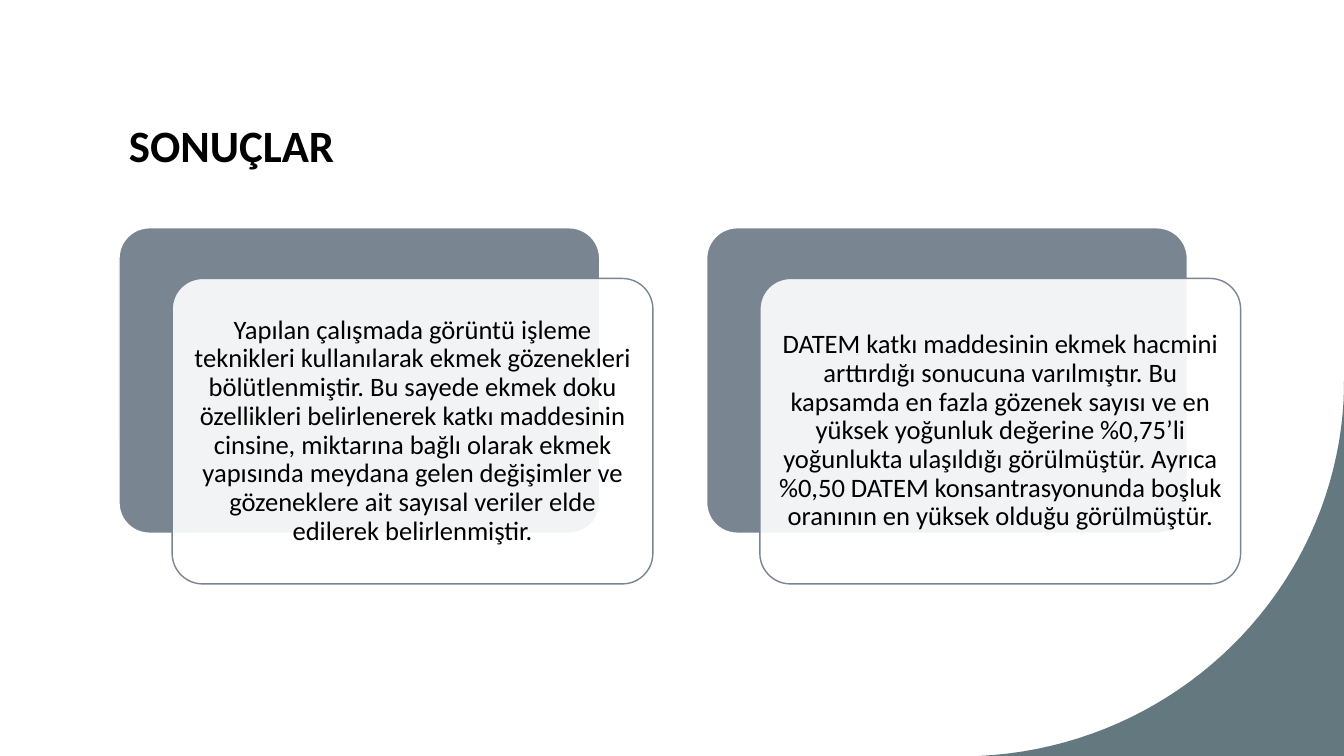
from pptx import Presentation
from pptx.dml.color import RGBColor
from pptx.enum.shapes import MSO_SHAPE
from pptx.enum.text import MSO_ANCHOR, PP_ALIGN
from pptx.oxml.ns import qn
from pptx.util import Pt
from lxml import etree

ROUND = MSO_SHAPE.ROUNDED_RECTANGLE
MIDDLE, BOTTOM = MSO_ANCHOR.MIDDLE, MSO_ANCHOR.BOTTOM
LEFT, CENTER = PP_ALIGN.LEFT, PP_ALIGN.CENTER

# Content
TITLE = "SONUÇLAR"
CARDS = [
    "Yapılan çalışmada görüntü işleme teknikleri kullanılarak ekmek gözenekleri "
    "bölütlenmiştir. Bu sayede ekmek doku özellikleri belirlenerek katkı maddesinin "
    "cinsine, miktarına bağlı olarak ekmek yapısında meydana gelen değişimler ve "
    "gözeneklere ait sayısal veriler elde edilerek belirlenmiştir.",
    "DATEM katkı maddesinin ekmek hacmini arttırdığı sonucuna varılmıştır. Bu "
    "kapsamda en fazla gözenek sayısı ve en yüksek yoğunluk değerine %0,75’li "
    "yoğunlukta ulaşıldığı görülmüştür. Ayrıca %0,50 DATEM konsantrasyonunda boşluk "
    "oranının en yüksek olduğu görülmüştür.",
]
COLORS = {"white": "FFFFFF", "slate": "7A8592", "corner": "63787F", "text": "000000"}

# Layout in points
WIDTH, HEIGHT = 960, 540
CARD_X, CARD_Y, CARD_W, CARD_H = 85, 162.7, 343.4, 218.2
STEP = 419.8
SHIFT_X, SHIFT_Y = 38, 36.2
INSET = 6.4
CURVE = [(699, 540), (840, 533.5), (952.6, 422.6), (959.8, 285)]
PARTS = 40

TITLE_FONT = {"name": "Calibri", "size": Pt(32), "bold": True}
BODY_FONT = {"name": "Calibri", "size": Pt(19), "bold": False}
TITLE_FRAME = {"word_wrap": True, "vertical_anchor": BOTTOM}
BODY_FRAME = {"word_wrap": True, "vertical_anchor": MIDDLE, "margin_left": Pt(6),
              "margin_right": Pt(6), "margin_top": Pt(6), "margin_bottom": Pt(6)}
TITLE_PARA = {"alignment": LEFT, "line_spacing": 1.1}
BODY_PARA = {"alignment": CENTER, "line_spacing": 0.9}


def color(name):
    return RGBColor.from_string(COLORS[name])


def assign(item, values):
    for key, value in values.items():
        setattr(item, key, value)


def paint(shape, fill):
    shape.shadow.inherit = False
    shape.fill.solid()
    shape.fill.fore_color.rgb = color(fill)


def add_card(slide, x, y, fill, line):
    card = slide.shapes.add_shape(ROUND, Pt(x), Pt(y), Pt(CARD_W), Pt(CARD_H))
    card.adjustments[0] = 0.1
    paint(card, fill)
    card.line.color.rgb = color(line)
    card.line.width = Pt(1)
    return card


def fade(shape, percent):
    tone = shape.fill._xPr.find(qn("a:solidFill"))[0]
    etree.SubElement(tone, qn("a:alpha"), val=str(percent * 1000))


def add_text(slide, box, text, frame_style, para_style, font_style):
    frame = slide.shapes.add_textbox(*map(Pt, box)).text_frame
    assign(frame, frame_style)
    para = frame.paragraphs[0]
    assign(para, para_style)
    run = para.add_run()
    run.text = text
    assign(run.font, font_style)
    run.font.color.rgb = color("text")


def bezier(t):
    weights = ((1 - t) ** 3, 3 * t * (1 - t) ** 2, 3 * t * t * (1 - t), t ** 3)
    return tuple(sum(w * point[axis] for w, point in zip(weights, CURVE))
                 for axis in (0, 1))


def add_corner(slide):
    points = [(WIDTH, HEIGHT), (693.4, HEIGHT)]
    points += [bezier(i / PARTS) for i in range(PARTS + 1)]
    build = slide.shapes.build_freeform(Pt(WIDTH), Pt(272.2))
    build.add_line_segments([(Pt(x), Pt(y)) for x, y in points], close=True)
    corner = build.convert_to_shape()
    paint(corner, "corner")
    corner.line.fill.background()


def main():
    deck = Presentation()
    deck.slide_width, deck.slide_height = Pt(WIDTH), Pt(HEIGHT)
    slide = deck.slides.add_slide(deck.slide_layouts[6])

    # Corner and title
    add_corner(slide)
    add_text(slide, (CARD_X, 56.9, 783.4, 69.1), TITLE,
             TITLE_FRAME, TITLE_PARA, TITLE_FONT)

    # Layered cards
    for i, text in enumerate(CARDS):
        x = CARD_X + i * STEP
        add_card(slide, x, CARD_Y, "slate", "white")
        x, y = x + SHIFT_X, CARD_Y + SHIFT_Y
        front = add_card(slide, x, y, "white", "slate")
        fade(front, 90)
        box = (x + INSET, y + INSET, CARD_W - 2 * INSET, CARD_H - 2 * INSET)
        add_text(slide, box, text, BODY_FRAME, BODY_PARA, BODY_FONT)

    deck.save("out.pptx")


if __name__ == "__main__":
    main()
